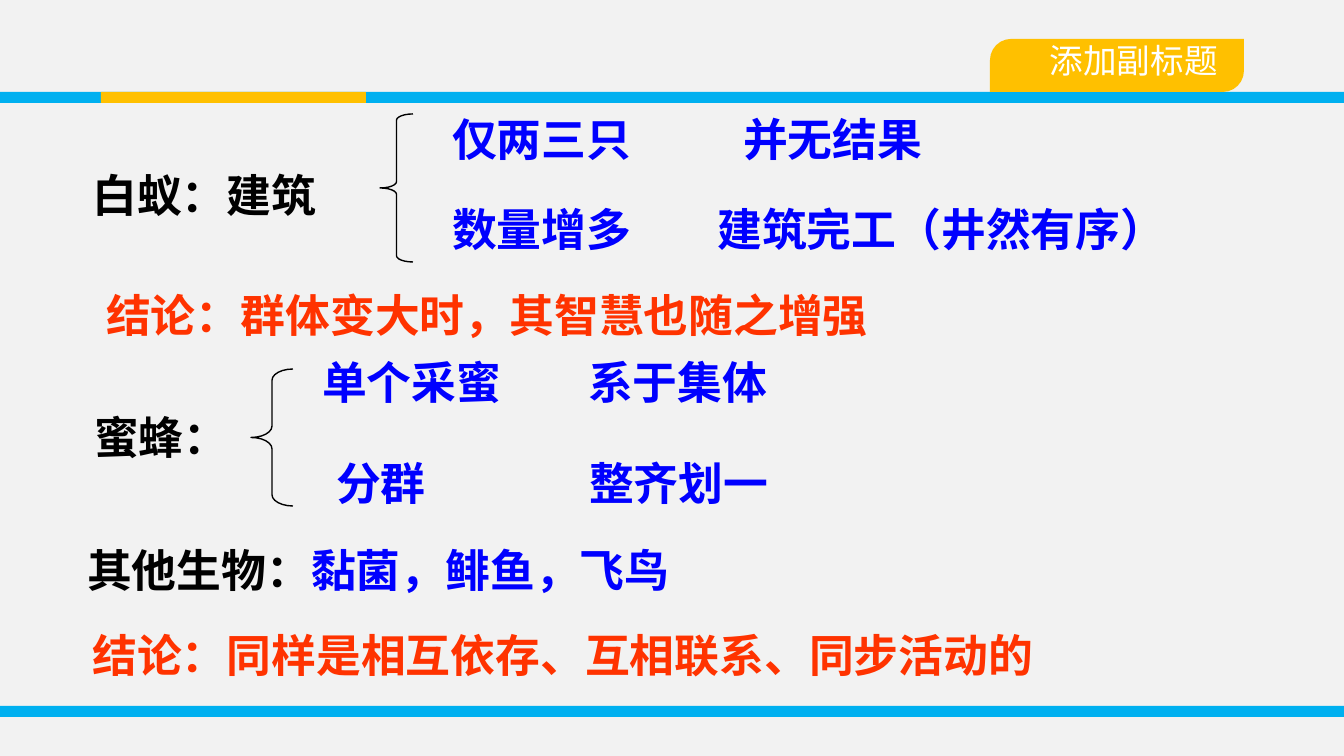
from typing import NamedTuple

from pptx import Presentation
from pptx import util as u
from pptx.dml.color import RGBColor
from pptx.enum import shapes, text

SCALE = 914400 / 134.4
FONT = "Calibri"
BLACK, BLUE, RED = "000000", "0000FF", "FF3300"
SKY, GOLD, WHITE, PALE = "00B0F0", "FFC000", "FFFFFF", "F2F2F2"
KIND = shapes.MSO_SHAPE


class Run(NamedTuple):
    """A stretch of text in one colour."""
    words: str
    color: str


class Label(NamedTuple):
    """A line of bold text at a place."""
    x: int
    y: int
    w: int
    runs: list[Run]


class Bar(NamedTuple):
    """A flat coloured strip."""
    x: int
    y: int
    w: int
    color: str


class Brace(NamedTuple):
    """A left brace with its curve."""
    x: int
    y: int
    w: int
    h: int
    curve: float


BARS = [
    Bar(0, 706, 1344, SKY),
    Bar(0, 92, 1344, SKY),
    Bar(101, 92, 265, GOLD),
]
BRACES = [Brace(380, 114, 33, 148, 0.19), Brace(251, 369, 42, 137, 0.27)]
LABELS = [
    Label(79, 161, 317, [Run("白蚁：建筑", BLACK)]),
    Label(439, 105, 222, [Run("仅两三只", BLUE)]),
    Label(439, 195, 243, [Run("数量增多", BLUE)]),
    Label(730, 105, 243, [Run("并无结果", BLUE)]),
    Label(704, 195, 508, [Run("建筑完工（井然有序）", BLUE)]),
    Label(93, 281, 1048, [Run("结论：群体变大时，其智慧也随之增强", RED)]),
    Label(81, 403, 196, [Run("蜜蜂：", BLACK)]),
    Label(309, 348, 207, [Run("单个采蜜", BLUE)]),
    Label(323, 449, 194, [Run("分群", BLUE)]),
    Label(575, 348, 254, [Run("系于集体", BLUE)]),
    Label(576, 449, 211, [Run("整齐划一", BLUE)]),
    Label(74, 536, 716, [Run("其他生物：", BLACK), Run("黏菌，鲱鱼，飞鸟", BLUE)]),
    Label(79, 621, 1056, [Run("结论：同样是相互依存、互相联系、同步活动的", RED)]),
]


def px(n: int) -> int:
    """Turn px into EMU."""
    return round(n * SCALE)


def rgb(code: str) -> RGBColor:
    """Turn a hex string into a colour."""
    return RGBColor.from_string(code)


def add_run(para, run: Run, size: int, bold: bool) -> None:
    """Add one styled run to a paragraph."""
    part = para.add_run()
    part.text = run.words
    part.font.name = FONT
    part.font.size = u.Pt(size)
    part.font.bold = bold
    part.font.color.rgb = rgb(run.color)


def add_block(slide, kind, x: int, y: int, w: int, h: int, color: str):
    """Add a filled shape without an outline."""
    block = slide.shapes.add_shape(kind, px(x), px(y), px(w), px(h))
    block.shadow.inherit = False
    block.fill.solid()
    block.fill.fore_color.rgb = rgb(color)
    block.line.fill.background()
    return block


def add_tab(slide) -> None:
    """Add the subtitle tab at the top right."""
    tab = add_block(slide, KIND.ROUND_2_DIAG_RECTANGLE, 990, 39, 254, 53, GOLD)
    tab.adjustments[0] = 0.4
    frame = tab.text_frame
    frame.margin_top = frame.margin_left = 0
    frame.margin_right, frame.margin_bottom = px(20), px(10)
    frame.vertical_anchor = text.MSO_ANCHOR.MIDDLE
    para = frame.paragraphs[0]
    para.alignment = text.PP_ALIGN.RIGHT
    add_run(para, Run("添加副标题", WHITE), 18, False)


def add_brace(slide, item: Brace) -> None:
    """Add a thin black brace."""
    brace = slide.shapes.add_shape(
        KIND.LEFT_BRACE, px(item.x), px(item.y), px(item.w), px(item.h))
    brace.shadow.inherit = False
    brace.adjustments[0] = item.curve
    brace.fill.background()
    brace.line.color.rgb = rgb(BLACK)
    brace.line.width = u.Pt(0.75)


def add_label(slide, item: Label) -> None:
    """Add a bold line of text."""
    box = slide.shapes.add_textbox(px(item.x), px(item.y), px(item.w), px(67))
    frame = box.text_frame
    frame.word_wrap = True
    frame.auto_size = text.MSO_AUTO_SIZE.SHAPE_TO_FIT_TEXT
    for run in item.runs:
        add_run(frame.paragraphs[0], run, 24, True)


def main() -> None:
    """Build the slide and save it."""
    deck = Presentation()
    deck.slide_width, deck.slide_height = px(1344), px(756)
    slide = deck.slides.add_slide(deck.slide_layouts[6])
    slide.background.fill.solid()
    slide.background.fill.fore_color.rgb = rgb(PALE)
    for bar in BARS:
        add_block(slide, KIND.RECTANGLE, bar.x, bar.y, bar.w, 11, bar.color)
    add_tab(slide)
    for brace in BRACES:
        add_brace(slide, brace)
    for label in LABELS:
        add_label(slide, label)
    deck.save("out.pptx")


if __name__ == "__main__":
    main()
